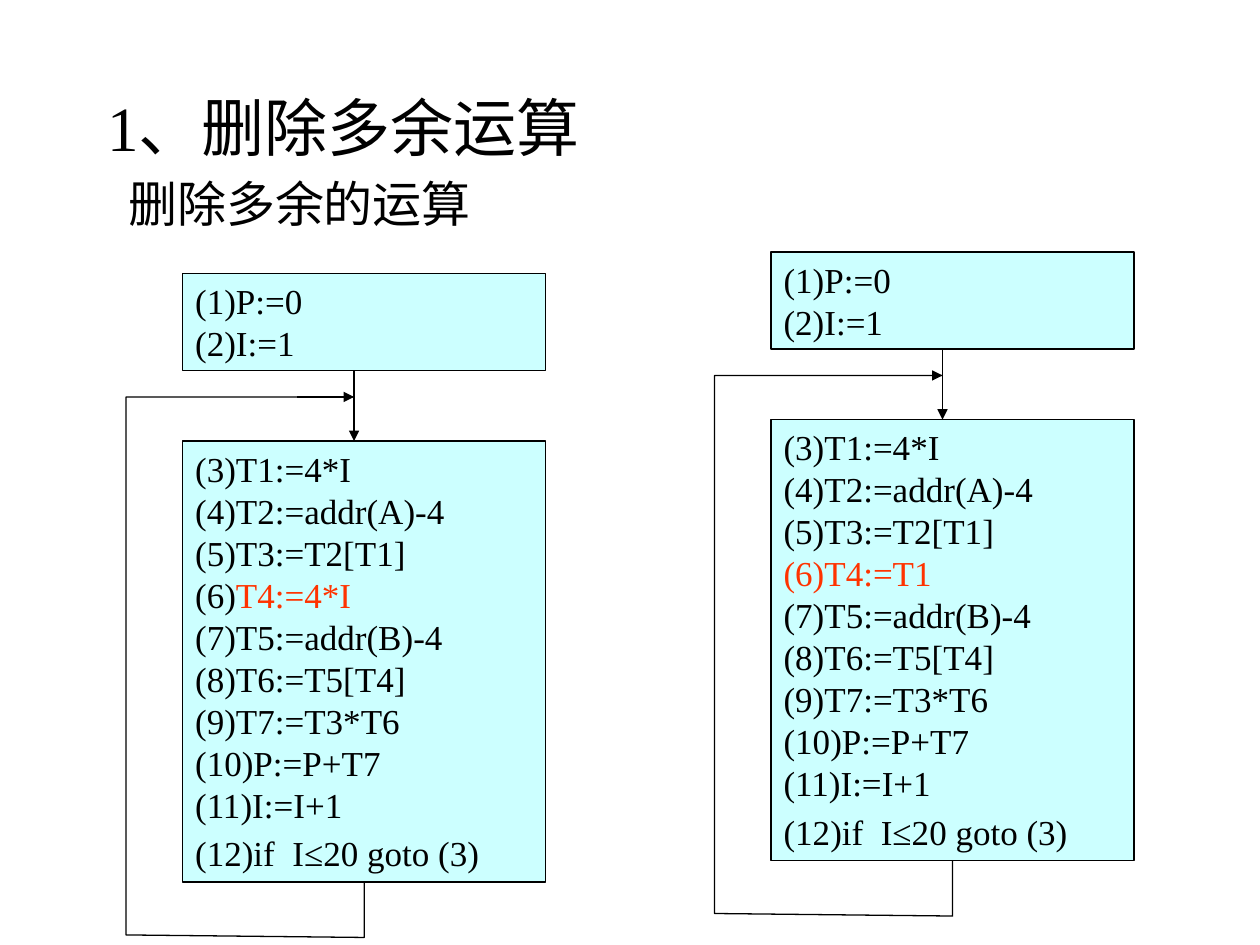
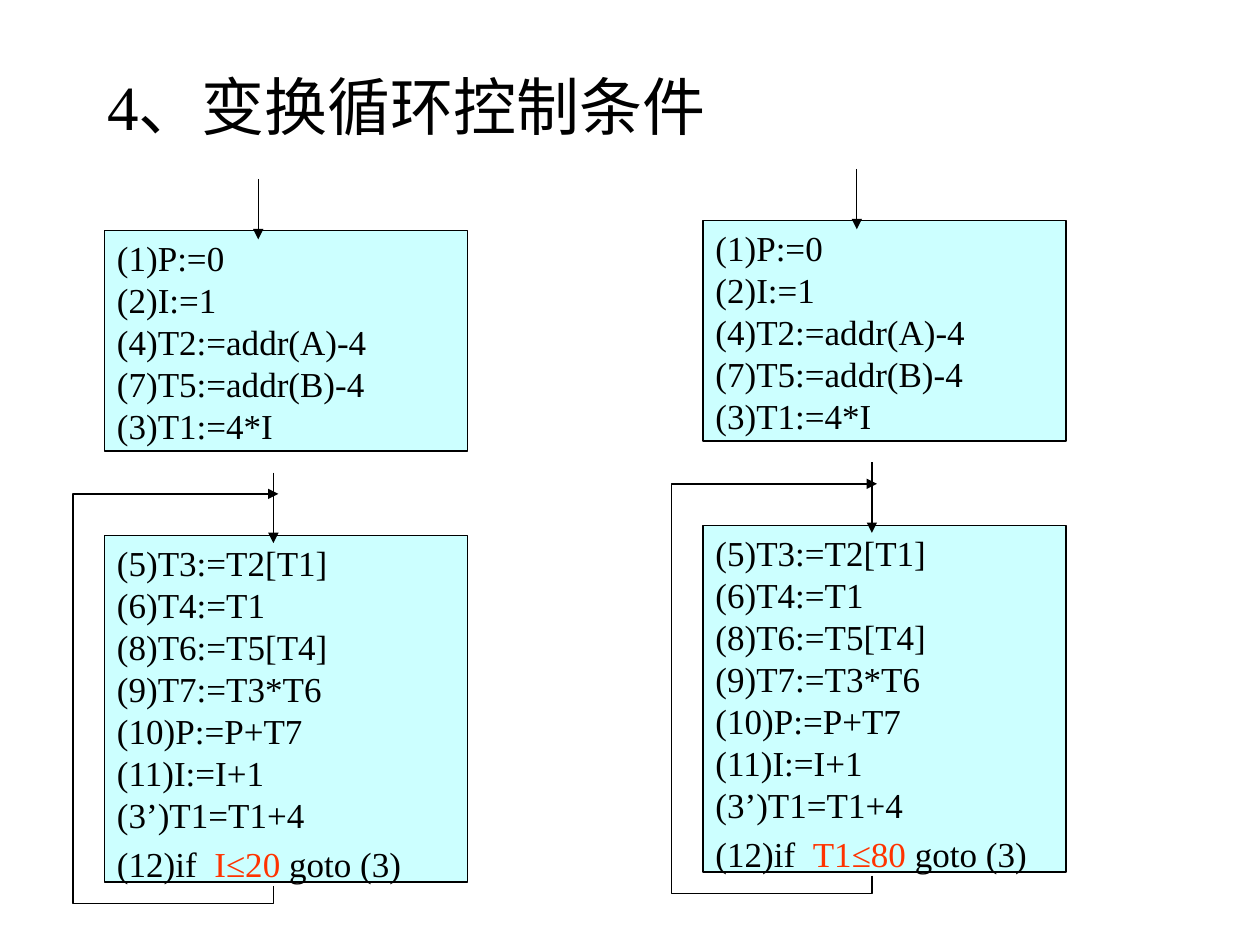
"""Build two slides that compare flow graphs before and after loop optimisation."""
from lxml import etree
from pptx import Presentation
from pptx.dml.color import RGBColor
from pptx.enum.shapes import MSO_CONNECTOR, MSO_SHAPE
from pptx.enum.text import MSO_ANCHOR, MSO_AUTO_SIZE, PP_ALIGN
from pptx.oxml.ns import qn
from pptx.util import Inches, Pt

RECT = MSO_SHAPE.RECTANGLE
LINE = MSO_CONNECTOR.STRAIGHT
LEFT = PP_ALIGN.LEFT
TOP, MIDDLE = MSO_ANCHOR.TOP, MSO_ANCHOR.MIDDLE
FIXED = MSO_AUTO_SIZE.NONE

THEME = {
    "ink": RGBColor.from_string("000000"),
    "mark": RGBColor.from_string("FF3300"),
    "fill": RGBColor.from_string("CCFFFF"),
    "font": "Times New Roman",
    "title": Pt(36),
    "note": Pt(28),
    "code": Pt(20),
    "line": Pt(0.75),
}
WIDTH = 2.88

HEAD = ["(1)P:=0", "(2)I:=1"]
FULL = HEAD + ["(4)T2:=addr(A)-4", "(7)T5:=addr(B)-4", "(3)T1:=4*I"]
LOOP = ["(3)T1:=4*I", "(4)T2:=addr(A)-4", "(5)T3:=T2[T1]", "{}",
        "(7)T5:=addr(B)-4", "(8)T6:=T5[T4]", "(9)T7:=T3*T6",
        "(10)P:=P+T7", "(11)I:=I+1", "(12)if  I≤20 goto (3)"]
STEP = ["(5)T3:=T2[T1]", "(6)T4:=T1", "(8)T6:=T5[T4]", "(9)T7:=T3*T6",
        "(10)P:=P+T7", "(11)I:=I+1", "(3’)T1=T1+4", "(12)if  {} goto (3)"]

PAGES = [
    {
        "title": "1、删除多余运算", "place": (0.75, 0.67, 8.5, 0.67),
        "note": "删除多余的运算",
        "head": HEAD, "body": LOOP,
        "tops": (0, 1.33), "highs": (0.77, 3.5),
        "arrows": [(1.36, 0.77, 1.36, 1.33), (0.91, 0.98, 1.36, 0.98)],
        "back": [(1.44, 4.83), (1.44, 5.27), (-0.45, 5.25),
                 (-0.45, 0.98), (1.36, 0.98)],
        "graphs": [(6.12, 2, "|(6)T4:=T1|"), (1.45, 2.17, "(6)|T4:=4*I|")],
    },
    {
        "title": "4、变换循环控制条件", "place": (0.75, 0.42, 8.5, 0.83),
        "note": None,
        "head": FULL, "body": STEP,
        "tops": (0, 2.42), "highs": (1.75, 2.75),
        "arrows": [(1.34, 1.92, 1.34, 2.48), (0.92, 2.09, 1.38, 2.09),
                   (1.22, -0.41, 1.22, 0.07)],
        "back": [(1.34, 5.2), (1.34, 5.34), (-0.25, 5.34),
                 (-0.25, 2.09), (1.34, 2.09)],
        "graphs": [(0.83, 1.83, "|I≤20|"), (5.58, 1.75, "|T1≤80|")],
    },
]


def write(shape, lines, size, anchor):
    """Set lines of text, with the parts between bars in the mark colour."""
    frame = shape.text_frame
    form = {"word_wrap": True, "auto_size": FIXED, "vertical_anchor": anchor,
            "margin_left": Inches(0.1), "margin_right": Inches(0.1),
            "margin_top": Inches(0.05), "margin_bottom": Inches(0.05)}
    for name, value in form.items():
        setattr(frame, name, value)
    for row, line in enumerate(lines):
        para = frame.add_paragraph() if row else frame.paragraphs[0]
        para.alignment = LEFT
        if line.startswith("(12)"):
            para.space_before = Pt(3.6)
        for part, text in enumerate(line.split("|")):
            if text:
                run = para.add_run()
                run.text = text
                for name, value in {"name": THEME["font"], "size": size}.items():
                    setattr(run.font, name, value)
                run.font.color.rgb = THEME["mark" if part % 2 else "ink"]


def stroke(shape):
    """Give a shape or connector the shared thin line."""
    shape.line.color.rgb = THEME["ink"]
    shape.line.width = THEME["line"]


deck = Presentation()
deck.slide_width, deck.slide_height = Inches(10), Inches(7.5)

for page in PAGES:
    slide = deck.slides.add_slide(deck.slide_layouts[5])
    title = slide.shapes.title
    spots = zip(("left", "top", "width", "height"), page["place"])
    for name, value in spots:
        setattr(title, name, Inches(value))
    write(title, [page["title"]], THEME["title"], MIDDLE)

    if page["note"]:
        note = slide.shapes.add_textbox(
            Inches(0.92), Inches(1.33), Inches(7.5), Inches(0.57))
        write(note, [page["note"]], THEME["note"], TOP)

    for left, top, change in page["graphs"]:
        graph = slide.shapes.add_group_shape().shapes
        blocks = zip(page["tops"], page["highs"], (page["head"], page["body"]))
        for drop, high, code in blocks:
            box = graph.add_shape(RECT, Inches(left), Inches(top + drop),
                                  Inches(WIDTH), Inches(high))
            box.shadow.inherit = False
            box.fill.solid()
            box.fill.fore_color.rgb = THEME["fill"]
            stroke(box)
            lines = [line.format(change) for line in code]
            write(box, lines, THEME["code"], TOP)

        for x1, y1, x2, y2 in page["arrows"]:
            arrow = graph.add_connector(
                LINE, Inches(left + x1), Inches(top + y1),
                Inches(left + x2), Inches(top + y2))
            stroke(arrow)
            tail = etree.SubElement(arrow.line._get_or_add_ln(), qn("a:tailEnd"))
            tail.set("type", "triangle")
            etree.SubElement(arrow._element.spPr, qn("a:effectLst"))

        points = [(Inches(left + x), Inches(top + y)) for x, y in page["back"]]
        pen = graph.build_freeform(*points[0])
        pen.add_line_segments(points[1:], close=False)
        back = pen.convert_to_shape()
        back.shadow.inherit = False
        back.fill.background()
        stroke(back)

deck.save("out.pptx")
